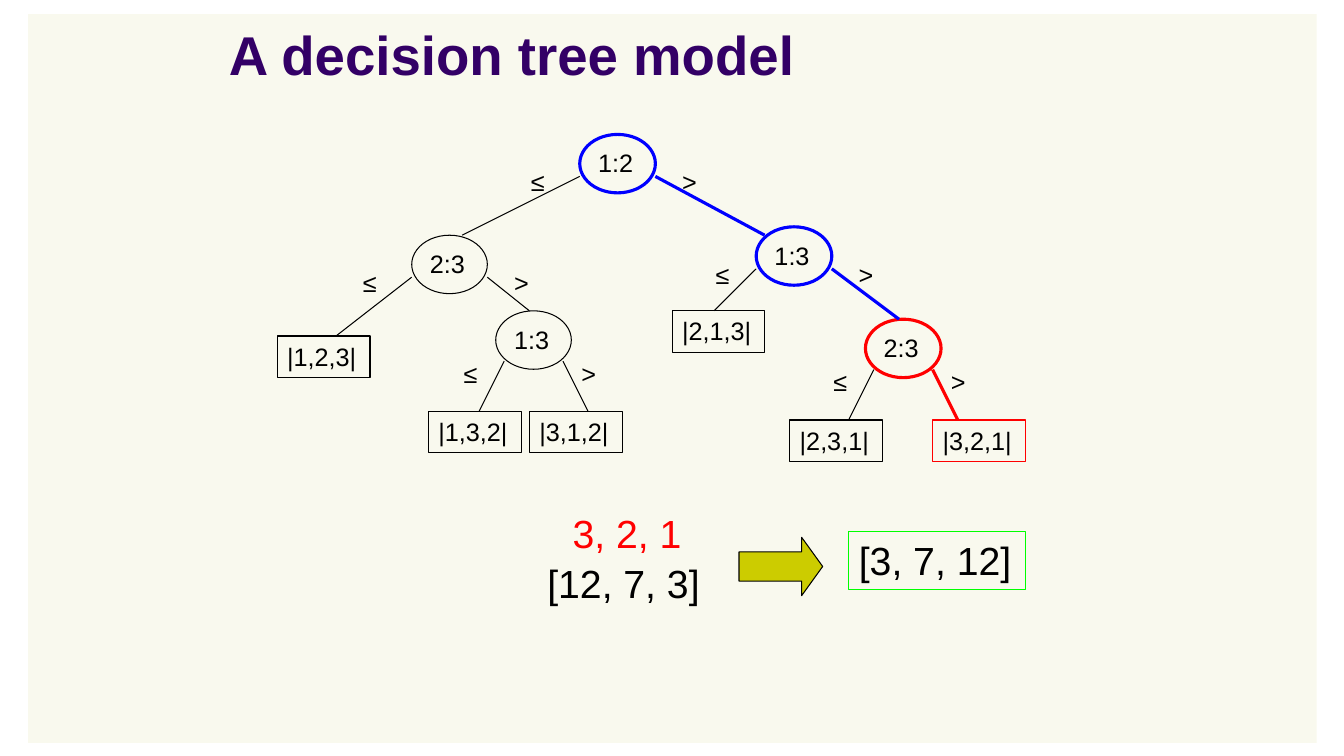
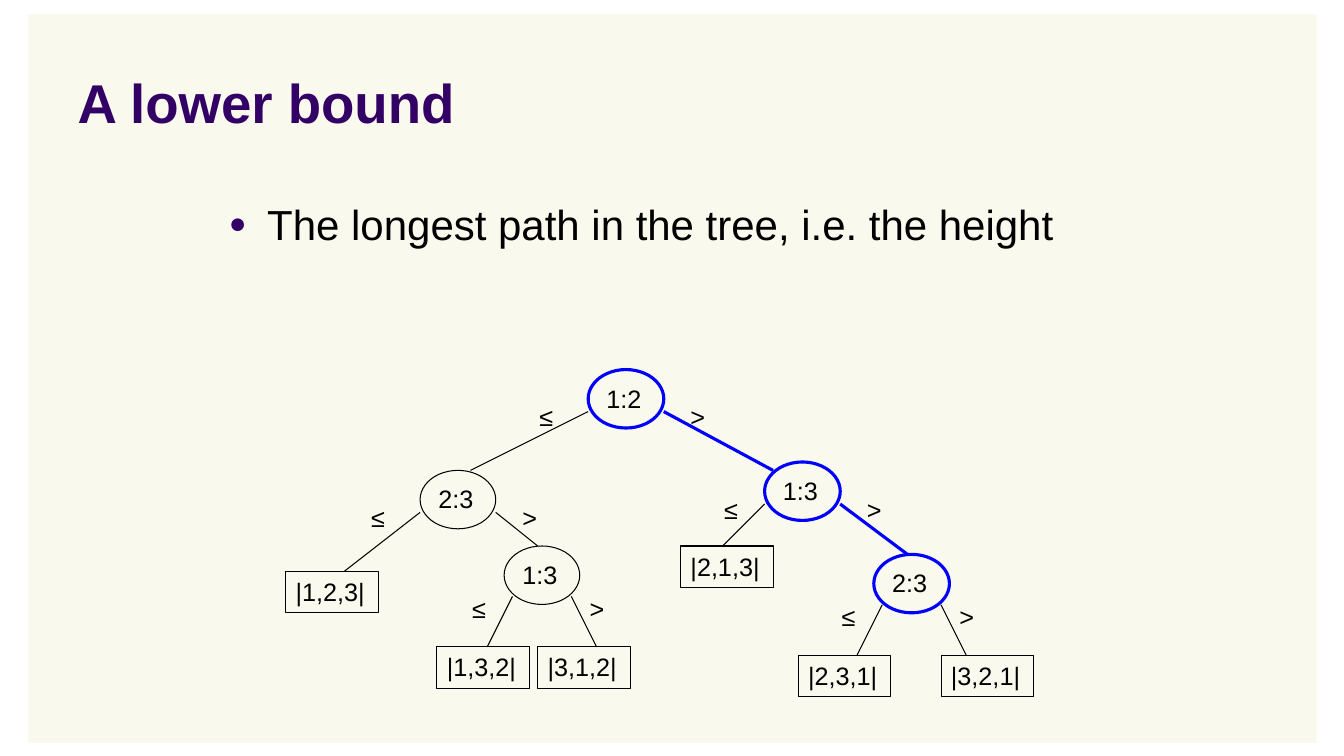
from dataclasses import dataclass

from lxml import etree
from pptx import Presentation
from pptx.dml.color import RGBColor
from pptx.enum.shapes import MSO_CONNECTOR as CONNECTOR, MSO_SHAPE as SHAPE
from pptx.enum.text import MSO_ANCHOR as ANCHOR, MSO_AUTO_SIZE as AUTO_SIZE, PP_ALIGN as ALIGN
from pptx.oxml.ns import qn
from pptx.util import Inches, Pt


@dataclass(frozen=True)
class Theme:
    font: str = "Arial"
    band: str = "F9F9EE"
    title: str = "330066"
    ink: str = "000000"
    blue: str = "0000FF"
    red: str = "FF0000"
    green: str = "00FF00"
    arrow: str = "CCCC00"
    title_size: int = 39
    body_size: int = 30
    list_size: int = 28
    tree_size: int = 18
    thin: float = 0.75
    thick: float = 2.25


theme = Theme()
UNIT = 1 / 12  # the tree sits on a grid of twelve steps to the inch


def write(shape, text, size, color=theme.ink, bold=False, anchor=ANCHOR.TOP):
    frame = shape.text_frame
    frame.text = text
    frame.word_wrap = True
    frame.auto_size = AUTO_SIZE.NONE
    frame.vertical_anchor = anchor
    paragraph = frame.paragraphs[0]
    paragraph.alignment = ALIGN.LEFT
    font = paragraph.font
    font.name, font.size, font.bold = theme.font, Pt(size), bold
    font.color.rgb = RGBColor.from_string(color)
    return paragraph


def add_outline(slide, kind, box, color=theme.ink, width=theme.thin):
    shape = slide.shapes.add_shape(kind, *map(Inches, box))
    shape.shadow.inherit = False
    shape.fill.background()
    shape.line.color.rgb = RGBColor.from_string(color)
    shape.line.width = Pt(width)
    return shape


presentation = Presentation()
presentation.slide_width, presentation.slide_height = Inches(13.33), Inches(7.5)
layouts = presentation.slide_layouts
model_slide = presentation.slides.add_slide(layouts.get_by_name("Title Only"))
bound_slide = presentation.slides.add_slide(layouts.get_by_name("Title and Content"))

# Background band, moved to the master behind its placeholders
band = add_outline(model_slide, SHAPE.RECTANGLE, (0.28, 0.14, 12.78, 7.23))
band.fill.solid()
band.fill.fore_color.rgb = RGBColor.from_string(theme.band)
band.line.fill.background()
presentation.slide_master.shapes.element.insert(2, band.element)

# Titles
for slide, text, box in (
    (model_slide, "A decision tree model", (2.17, 0.13, 8.25, 0.78)),
    (bound_slide, "A lower bound", (0.67, 0.13, 12, 1.25)),
):
    title = slide.shapes.title
    title.left, title.top, title.width, title.height = map(Inches, box)
    write(title, text, theme.title_size, theme.title, True, ANCHOR.BOTTOM)

# Bullet on the lower bound
body = bound_slide.placeholders[1]
body.left, body.top, body.width, body.height = map(Inches, (2.17, 1.92, 9, 4.79))
paragraph = write(body, "The longest path in the tree, i.e. the height", theme.body_size)
properties = paragraph._p.get_or_add_pPr()
properties.set("marL", str(Inches(0.38)))
properties.set("indent", str(-Inches(0.38)))
bullet_color = etree.SubElement(properties, qn("a:buClr"))
etree.SubElement(bullet_color, qn("a:srgbClr"), val=theme.title)
etree.SubElement(properties, qn("a:buSzPct"), val="70000")
etree.SubElement(properties, qn("a:buFont"), typeface=theme.font)
etree.SubElement(properties, qn("a:buChar"), char="●")

# Tree: the key is the path from the root (L for ≤, R for >), places in grid units
comparisons = {
    "": ("1:2", 69, 16),
    "L": ("2:3", 49, 28),
    "R": ("1:3", 90, 27),
    "LR": ("1:3", 59, 37),
    "RR": ("2:3", 103, 38),
}
leaves = {
    "LL": ("|1,2,3|", 33, 40),
    "LRL": ("|1,3,2|", 51, 49),
    "LRR": ("|3,1,2|", 63, 49),
    "RRL": ("|2,3,1|", 94, 50),
    "RRR": ("|3,2,1|", 111, 50),
    "RL": ("|2,1,3|", 80, 37),
}
# Where each branch ends, and how far its sign stands from the parent's left
branches = {
    "L": (55, 28, -7), "R": (91, 28, 11),
    "LL": (40, 40, -7), "LR": (63, 37, 11),
    "RL": (85, 37, -6), "RR": (107, 38, 11),
    "LRL": (57, 49, -5), "LRR": (70, 49, 9),
    "RRL": (101, 50, -5), "RRR": (114, 50, 9),
}
search_path = {"": theme.blue, "R": theme.blue, "RR": theme.red, "RRR": theme.red}
longest_path = dict.fromkeys(("", "R", "RR"), theme.blue)

for slide, shift_x, shift_y, marked in (
    (model_slide, 0, 0, search_path),
    (bound_slide, 1, 28, longest_path),
):
    labels = []
    # Comparison nodes
    for path, (text, x, y) in comparisons.items():
        left, top = (x + shift_x) * UNIT, (y + shift_y) * UNIT
        color, width = (marked[path], theme.thick) if path in marked else (theme.ink, theme.thin)
        add_outline(slide, SHAPE.OVAL, (left, top, 0.75, 0.58), color, width)
        labels.append((text, left + UNIT, top + UNIT, 0.67))

    # Branches
    for path, (end_x, end_y, sign_x) in branches.items():
        parent, goes_left = path[:-1], path[-1] == "L"
        _, x, y = comparisons[parent]
        steep = len(parent) == 2
        start_x = x + (1 if steep else 0) if goes_left else x + (8 if steep else 9)
        start_y = y + (6 if steep else 5)
        line = slide.shapes.add_connector(
            CONNECTOR.STRAIGHT,
            Inches((start_x + shift_x) * UNIT), Inches((start_y + shift_y) * UNIT),
            Inches((end_x + shift_x) * UNIT), Inches((end_y + shift_y) * UNIT),
        )
        color, width = (marked[parent], theme.thick) if path in marked else (theme.ink, theme.thin)
        line.line.color.rgb = RGBColor.from_string(color)
        line.line.width = Pt(width)
        etree.SubElement(line.element.spPr, qn("a:effectLst"))
        sign_top = (y + shift_y) * UNIT + (0.42 if steep else 0.27)
        labels.append(("≤" if goes_left else ">", (x + sign_x + shift_x) * UNIT, sign_top, 0.42))

    # Node texts and branch signs
    for text, left, top, width in labels:
        label = slide.shapes.add_textbox(*map(Inches, (left, top, width, 0.4)))
        write(label, text, theme.tree_size)

    # Leaves
    for path, (text, x, y) in leaves.items():
        box = ((x + shift_x) * UNIT, (y + shift_y) * UNIT, 0.92, 0.41)
        leaf = add_outline(slide, SHAPE.RECTANGLE, box, marked.get(path, theme.ink))
        write(leaf, text, theme.tree_size)

# Sorting example below the first tree
for text, left, top, color in (
    ("[12, 7, 3]", 5.33, 5.5, theme.ink),
    ("3, 2, 1", 5.58, 5, theme.red),
):
    values = model_slide.shapes.add_textbox(*map(Inches, (left, top, 1.75, 0.57)))
    write(values, text, theme.list_size, color)

arrow = add_outline(model_slide, SHAPE.RIGHT_ARROW, (7.33, 5.33, 0.83, 0.58))
arrow.adjustments[0], arrow.adjustments[1] = 0.5, 0.36
arrow.fill.solid()
arrow.fill.fore_color.rgb = RGBColor.from_string(theme.arrow)

sorted_values = add_outline(model_slide, SHAPE.RECTANGLE, (8.42, 5.27, 1.75, 0.58), theme.green)
write(sorted_values, "[3, 7, 12]", theme.list_size)

presentation.save("out.pptx")
